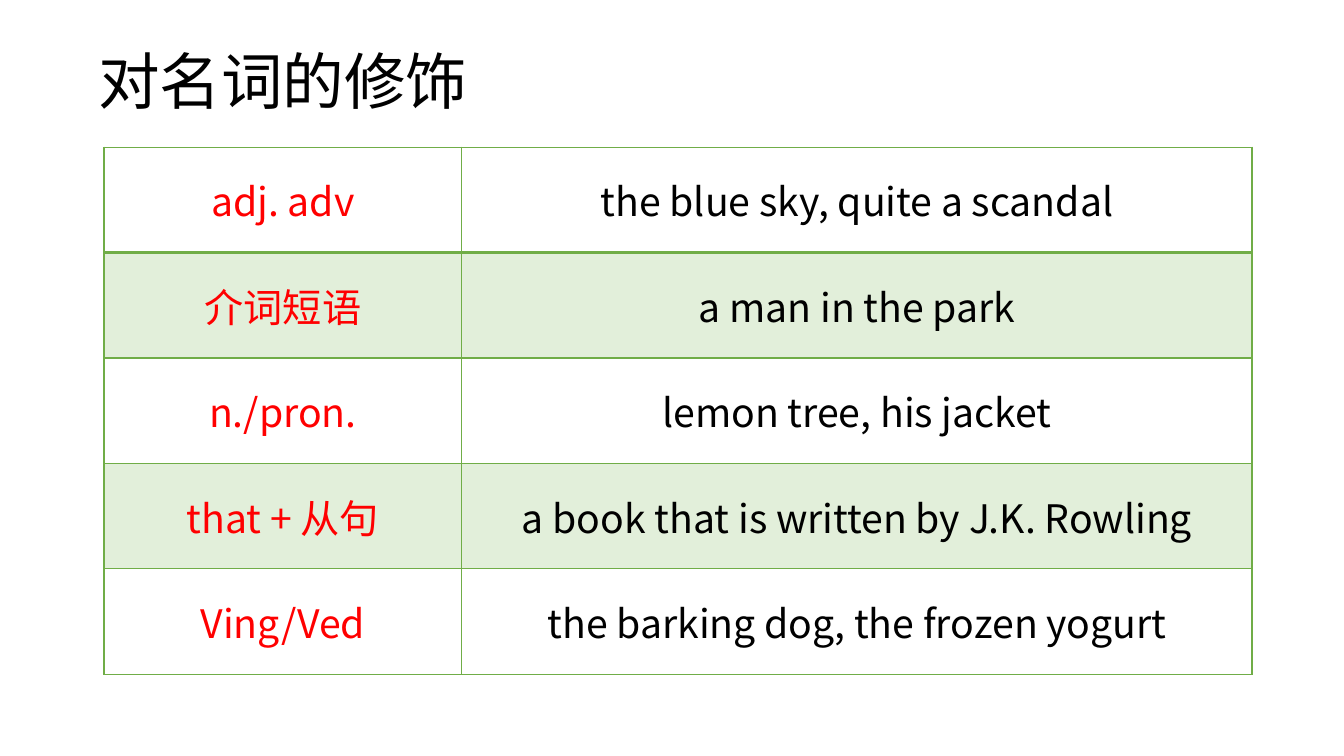
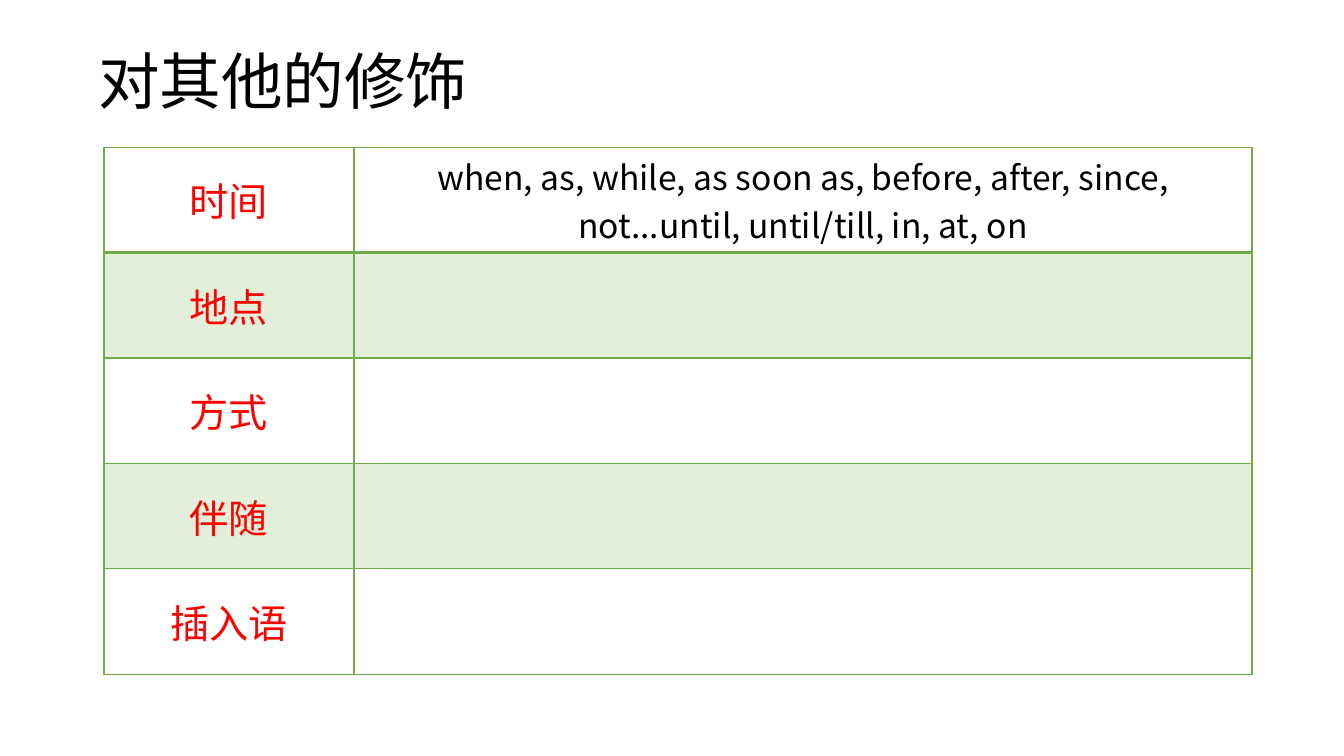
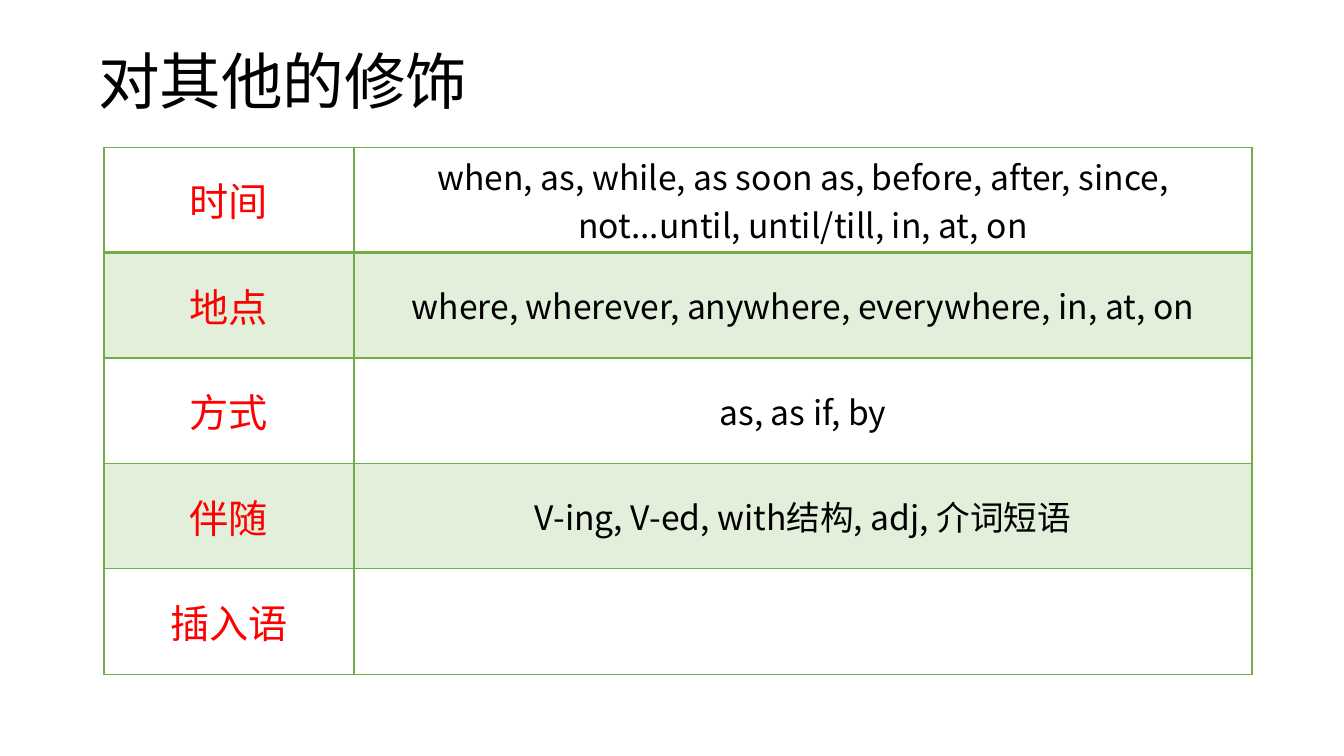
from dataclasses import dataclass

from lxml import etree
from pptx import Presentation
from pptx.dml.color import RGBColor
from pptx.enum import text
from pptx.oxml.ns import qn
from pptx import util as u


@dataclass(frozen=True)
class Theme:
    """Colours, font and type sizes of the deck."""
    ink: str = "000000"
    key: str = "FF0000"
    line: str = "70AD47"
    band: str = "E2EFDA"
    font: str = "Noto Sans CJK SC"
    head: int = 44
    large: int = 28
    small: int = 24


class Deck:
    """Holds the style and the current slide."""

    def __init__(self, theme):
        """Start a wide presentation."""
        self.theme = theme
        self.prs = Presentation()
        self.prs.slide_width = u.Cm(33.87)
        self.prs.slide_height = u.Cm(19.05)
        self.slide = None

    def page(self, title):
        """Add a slide with its title."""
        self.slide = self.prs.slides.add_slide(self.prs.slide_layouts[5])
        box = self.slide.shapes.title
        box.left, box.top = u.Cm(2.34), u.Cm(1.02)
        box.width, box.height = u.Cm(29.21), u.Cm(2.21)
        frame = box.text_frame
        frame.margin_left = frame.margin_right = u.Cm(0.13)
        frame.margin_top = frame.margin_bottom = u.Cm(0.13)
        frame.vertical_anchor = text.MSO_ANCHOR.MIDDLE
        para = frame.paragraphs[0]
        para.line_spacing = 0.9
        self.label(para, title, self.theme.head, self.theme.ink, text.PP_ALIGN.LEFT)

    def label(self, para, words, size, color, align=text.PP_ALIGN.CENTER):
        """Add one styled run to a paragraph."""
        para.alignment = align
        run = para.add_run()
        run.text = words
        font = run.font
        font.size = u.Pt(size)
        font.color.rgb = RGBColor.from_string(color)
        font.name = self.theme.font
        etree.SubElement(run._r.rPr, qn("a:ea"), typeface=self.theme.font)

    def edge(self, cell, side, width):
        """Draw one border of a cell."""
        props = cell._tc.get_or_add_tcPr()
        line = etree.SubElement(props, qn(f"a:ln{side}"), w=str(u.Pt(width)))
        fill = etree.SubElement(line, qn("a:solidFill"))
        etree.SubElement(fill, qn("a:srgbClr"), val=self.theme.line)

    def cell(self, cell, row, words, size, color):
        """Style and fill one table cell."""
        cell.margin_left = cell.margin_right = u.Cm(0.02)
        cell.margin_top = cell.margin_bottom = u.Cm(0.02)
        cell.vertical_anchor = text.MSO_ANCHOR.MIDDLE
        widths = {"L": 1, "R": 1, "T": 2 if row == 1 else 1, "B": 2 if row == 0 else 1}
        for side, width in widths.items():
            self.edge(cell, side, width)
        if row % 2:
            cell.fill.solid()
            cell.fill.fore_color.rgb = RGBColor.from_string(self.theme.band)
        else:
            cell.fill.background()
        if words:
            self.label(cell.text_frame.paragraphs[0], words, size, color)

    def table(self, rows, first, size):
        """Add a table of terms and examples."""
        wide, high = u.Cm(28.93), u.Cm(13.28)
        grid = self.slide.shapes.add_table(
            len(rows), 2, u.Cm(2.62), u.Cm(3.71), wide, high).table
        grid.first_row = grid.horz_banding = False
        grid.columns[0].width = u.Cm(first)
        grid.columns[1].width = wide - u.Cm(first)
        for row, (term, sample) in enumerate(rows):
            grid.rows[row].height = high // len(rows)
            self.cell(grid.cell(row, 0), row, term, self.theme.large, self.theme.key)
            self.cell(grid.cell(row, 1), row, sample, size, self.theme.ink)


NOUNS = [
    ("adj. adv", "the blue sky, quite a scandal"),
    ("介词短语", "a man in the park"),
    ("n./pron.", "lemon tree, his jacket"),
    ("that + 从句", "a book that is written by J.K. Rowling"),
    ("Ving/Ved", "the barking dog, the frozen yogurt"),
]
OTHERS = [
    ("时间", "when, as, while, as soon as, before, after, since, "
           "not...until, until/till, in, at, on"),
    ("地点", "where, wherever, anywhere, everywhere, in, at, on"),
    ("方式", "as, as if, by"),
    ("伴随", "V-ing, V-ed, with结构, adj, 介词短语"),
    ("插入语", ""),
]


def main():
    """Build and save the deck."""
    theme = Theme()
    deck = Deck(theme)
    blank = OTHERS[:1] + [(term, "") for term, _ in OTHERS[1:]]
    for title, rows, first, size in (
        ("对名词的修饰", NOUNS, 9.02, theme.large),
        ("对其他的修饰", blank, 6.3, theme.small),
        ("对其他的修饰", OTHERS, 6.3, theme.small),
    ):
        deck.page(title)
        deck.table(rows, first, size)
    deck.prs.save("out.pptx")


if __name__ == "__main__":
    main()
